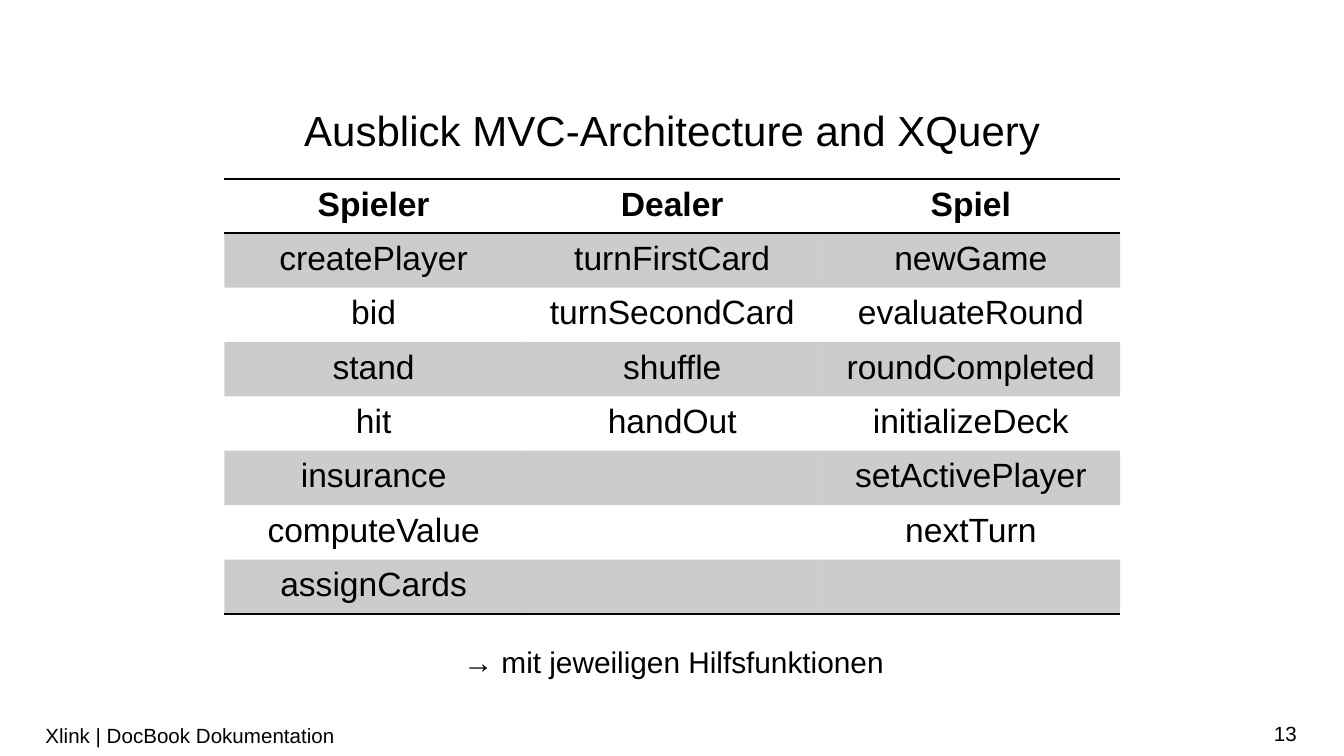
from dataclasses import dataclass

from lxml import etree
from pptx import Presentation
from pptx.dml.color import RGBColor
from pptx.enum.text import MSO_ANCHOR, PP_ALIGN
from pptx.oxml.ns import qn
from pptx.util import Cm, Pt

LEFT, CENTER, RIGHT = PP_ALIGN.LEFT, PP_ALIGN.CENTER, PP_ALIGN.RIGHT
TOP, MIDDLE = MSO_ANCHOR.TOP, MSO_ANCHOR.MIDDLE
PLAIN_TABLE_STYLE = "{2D5ABB26-0587-4C30-8999-92F81FD0307C}"


@dataclass(frozen=True)
class Theme:
    font: str = "Arial"
    ink: str = "000000"
    band_alpha: int = 20000
    title: float = 22.5
    table: float = 18
    note: float = 16
    footer: float = 11
    rule: float = 1


theme = Theme()


def write_text(frame, text, size, align=LEFT, bold=False, spacing=None):
    paragraph = frame.paragraphs[0]
    paragraph.alignment = align
    if spacing is not None:
        paragraph.line_spacing = spacing
    run = paragraph.add_run()
    run.text = text
    run.font.name = theme.font
    run.font.size = Pt(size)
    run.font.bold = bold
    run.font.color.rgb = RGBColor.from_string(theme.ink)


def add_rule(cell, side):
    properties = cell._tc.get_or_add_tcPr()
    line = etree.SubElement(properties, qn(f"a:{side}"), w=str(Pt(theme.rule)))
    fill = etree.SubElement(line, qn("a:solidFill"))
    etree.SubElement(fill, qn("a:srgbClr"), val=theme.ink)


presentation = Presentation()
presentation.slide_width = Cm(25.4)
presentation.slide_height = Cm(14.29)
slide = presentation.slides.add_slide(presentation.slide_layouts[6])

text_boxes = [
    ("13", (18.82, 13.49, 5.69, 0.76), 0.13, MIDDLE, True,
     dict(size=theme.footer, align=RIGHT)),
    ("Xlink |\u00a0DocBook Dokumentation".replace("\u00a0", " "), (0.86, 13.49, 21.74, 0.81), 0.13, MIDDLE, True,
     dict(size=theme.footer)),
    ("Ausblick MVC-Architecture and XQuery", (0.89, 2.08, 23.65, 0.86), 0, TOP, True,
     dict(size=theme.title, align=CENTER, spacing=Pt(24))),
    ("→ mit jeweiligen Hilfsfunktionen", (8.76, 12.07, 8.05, 0.71), 0, TOP, False,
     dict(size=theme.note, spacing=1.14)),
]
for text, position, margin, anchor, wrap, text_format in text_boxes:
    frame = slide.shapes.add_textbox(*map(Cm, position)).text_frame
    frame.margin_left = frame.margin_right = 0
    frame.margin_top = frame.margin_bottom = Cm(margin)
    frame.vertical_anchor = anchor
    frame.word_wrap = wrap
    write_text(frame, text, **text_format)

functions = [
    ("Spieler", "Dealer", "Spiel"),
    ("createPlayer", "turnFirstCard", "newGame"),
    ("bid", "turnSecondCard", "evaluateRound"),
    ("stand", "shuffle", "roundCompleted"),
    ("hit", "handOut", "initializeDeck"),
    ("insurance", "", "setActivePlayer"),
    ("computeValue", "", "nextTurn"),
    ("assignCards", "", ""),
]
last_row = len(functions) - 1
table = slide.shapes.add_table(
    len(functions), len(functions[0]), Cm(4.24), Cm(3.38), Cm(16.93), Cm(8.23)
).table
table.horz_banding = False
table._tbl.tblPr.find(qn("a:tableStyleId")).text = PLAIN_TABLE_STYLE

for row, names in enumerate(functions):
    for column, name in enumerate(names):
        cell = table.cell(row, column)
        if row == 0:
            add_rule(cell, "lnT")
        if row in (0, last_row):
            add_rule(cell, "lnB")
        if row % 2:
            cell.fill.solid()
            cell.fill.fore_color.rgb = RGBColor.from_string(theme.ink)
            color = cell._tc.tcPr.find(qn("a:solidFill")).find(qn("a:srgbClr"))
            etree.SubElement(color, qn("a:alpha"), val=str(theme.band_alpha))
        else:
            cell.fill.background()
        if name:
            write_text(cell.text_frame, name, theme.table, align=CENTER, bold=row == 0)

presentation.save("out.pptx")
